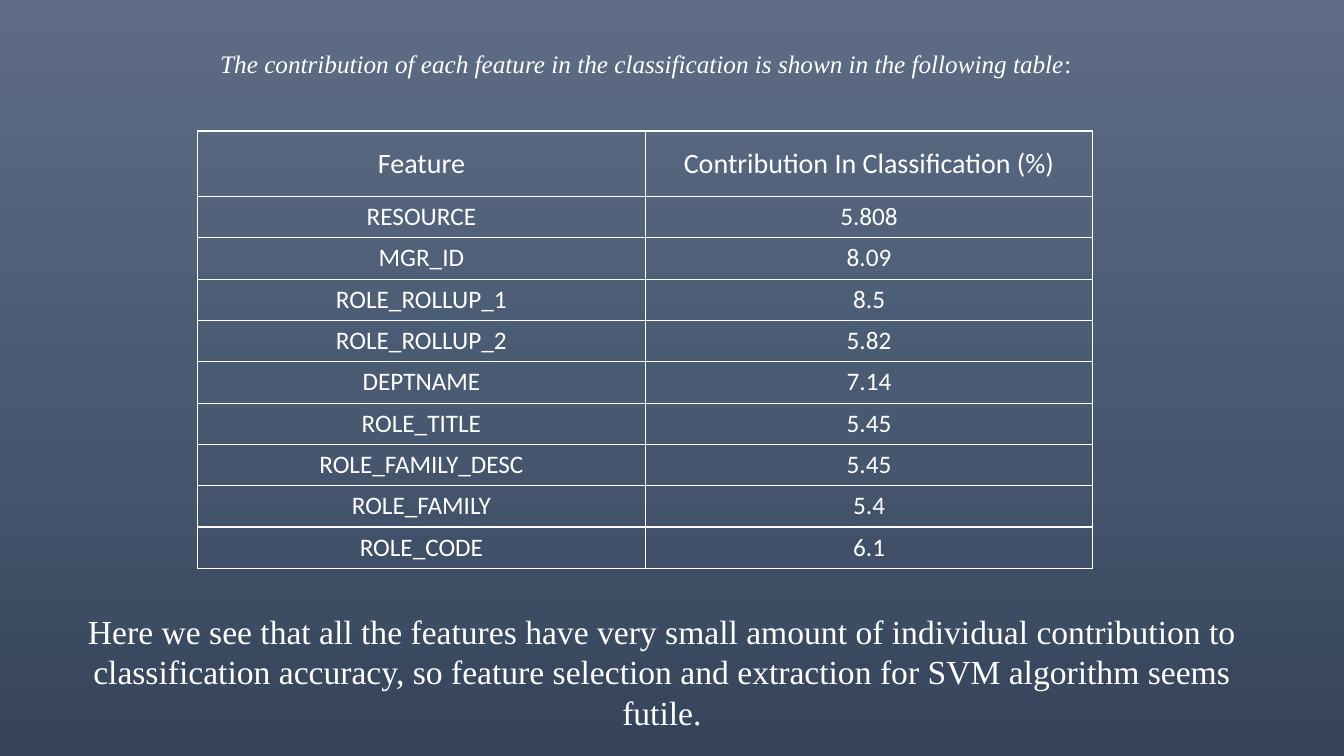
import copy

import pptx
import pptx.dml.color
import pptx.enum.text
import pptx.oxml
import pptx.oxml.ns
import pptx.util

WHITE = "FFFFFF"
SERIF = "Times New Roman"
CENTER = pptx.enum.text.PP_ALIGN.CENTER
MIDDLE = pptx.enum.text.MSO_ANCHOR.MIDDLE


def color(hex_string):
    """Turn a hex string into an RGB colour."""
    return pptx.dml.color.RGBColor.from_string(hex_string)


def add_text(frame, text, size, font, italic=False):
    """Append a white run to the frame's centred first paragraph."""
    paragraph = frame.paragraphs[0]
    paragraph.alignment = CENTER
    run = paragraph.add_run()
    run.text = text
    run.font.size = pptx.util.Pt(size)
    run.font.name = font
    run.font.italic = italic
    run.font.color.rgb = color(WHITE)


deck = pptx.Presentation()
deck.slide_width = pptx.util.Inches(13.33)
deck.slide_height = pptx.util.Inches(7.5)
slide = deck.slides.add_slide(deck.slide_layouts[6])

# Background: three-stop gradient from top to bottom
backdrop = slide.background.fill
backdrop.gradient()
backdrop.gradient_angle = 270
stop_list = slide.element.find(".//" + pptx.oxml.ns.qn("a:gsLst"))
stop_list.append(copy.deepcopy(stop_list[-1]))
shades = [(0, "5E6D85"), (0.5, "495A73"), (1, "35445A")]
for stop, (position, shade) in zip(backdrop.gradient_stops, shades):
    stop.position = position
    stop.color.rgb = color(shade)

# Introduction and conclusion
intro_runs = [
    ("The contribution of each feature in the classification is shown "
     "in the following table", True),
    (":", False),
]
conclusion_runs = [
    ("Here we see that all the features have very small amount of individual "
     "contribution to classification accuracy, so feature selection and "
     "extraction for SVM algorithm seems futile.", False),
]
passages = [
    ((1.12, 0.43, 10.57, 0.4), 18, intro_runs),
    ((0.41, 6.01, 12.31, 1.31), 24, conclusion_runs),
]
for bounds, size, runs in passages:
    frame = slide.shapes.add_textbox(*map(pptx.util.Inches, bounds)).text_frame
    frame.word_wrap = True
    frame.auto_size = pptx.enum.text.MSO_AUTO_SIZE.SHAPE_TO_FIT_TEXT
    for text, italic in runs:
        add_text(frame, text, size, SERIF, italic)

# Contribution table
contributions = [
    ("Feature", "Contribution In Classification (%)"),
    ("RESOURCE", "5.808"),
    ("MGR_ID", "8.09"),
    ("ROLE_ROLLUP_1", "8.5"),
    ("ROLE_ROLLUP_2", "5.82"),
    ("DEPTNAME", "7.14"),
    ("ROLE_TITLE", "5.45"),
    ("ROLE_FAMILY_DESC", "5.45"),
    ("ROLE_FAMILY", "5.4"),
    ("ROLE_CODE", "6.1"),
]
column_width = pptx.util.Inches(4.44)
header_height = pptx.util.Inches(0.65)
feature_height = pptx.util.Inches(0.41)
table = slide.shapes.add_table(
    len(contributions), 2, pptx.util.Inches(1.96), pptx.util.Inches(1.3),
    2 * column_width, header_height + 9 * feature_height).table
table.horz_banding = False
for column in table.columns:
    column.width = column_width

for row_index, entries in enumerate(contributions):
    is_header = row_index == 0
    table.rows[row_index].height = header_height if is_header else feature_height
    for column_index, entry in enumerate(entries):
        cell = table.cell(row_index, column_index)
        add_text(cell.text_frame, entry, 20 if is_header else 18, "Calibri")
        if is_header:
            cell.vertical_anchor = MIDDLE
        cell.fill.background()
        properties = cell._tc.get_or_add_tcPr()
        for edge_index, edge in enumerate(("lnL", "lnR", "lnT", "lnB")):
            properties.insert(edge_index, pptx.oxml.parse_xml(
                f'<a:{edge} {pptx.oxml.ns.nsdecls("a")} w="12700"><a:solidFill>'
                f'<a:srgbClr val="{WHITE}"/></a:solidFill></a:{edge}>'))

deck.save("out.pptx")
